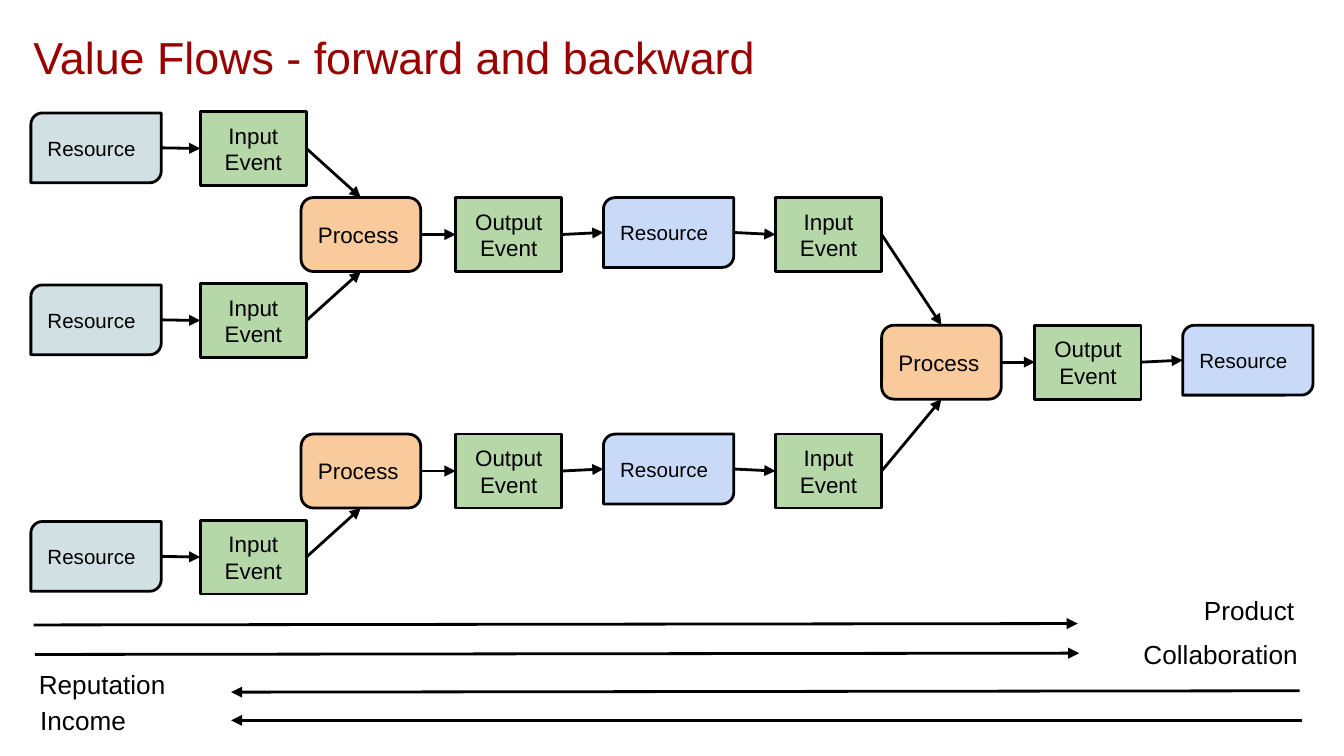
from lxml.etree import SubElement
from pptx import Presentation
from pptx.dml.color import RGBColor
from pptx.enum.shapes import MSO_CONNECTOR as CONN, MSO_SHAPE as SHAPE
from pptx.enum.text import MSO_ANCHOR as ANCHOR, PP_ALIGN as ALIGN
from pptx.oxml.ns import qn
from pptx.util import Inches, Pt

COLORS = {"title": "990000", "ink": "000000", "source": "D0E0E3",
          "event": "B6D7A8", "process": "F9CB9C", "product": "C9DAF8"}
# kind: shape, width, height, text size, alignment, fill
KINDS = {
    "Resource": (SHAPE.ROUND_2_DIAG_RECTANGLE, 0.97, 0.52, 11, ALIGN.LEFT, "product"),
    "Process": (SHAPE.ROUNDED_RECTANGLE, 0.89, 0.55, 12, ALIGN.LEFT, "process"),
    "Input\nEvent": (SHAPE.RECTANGLE, 0.79, 0.55, 12, ALIGN.CENTER, "event"),
    "Output\nEvent": (SHAPE.RECTANGLE, 0.79, 0.55, 12, ALIGN.CENTER, "event"),
}
COLS = [0.23, 1.49, 2.24, 3.39, 4.49, 5.77, 6.56, 7.7, 8.8]
STEP = 0.64
ROWS = [0.83, 0.83 + STEP, 0.83 + 2 * STEP, 2.42, 3.23, 3.23 + STEP]
TOP, LEFT, BOTTOM, RIGHT = range(4)

prs = Presentation()
prs.slide_width = Inches(10)
prs.slide_height = prs.slide_width * 9 // 16
s = prs.slides.add_slide(prs.slide_layouts[6])


def write(sp, text, size, color="ink", align=ALIGN.LEFT, pad=0.1):
    tf = sp.text_frame
    tf.word_wrap = True
    tf.margin_left = tf.margin_right = Inches(0.1)
    tf.margin_top = tf.margin_bottom = Inches(pad)
    tf.text = text
    for p in tf.paragraphs:
        p.alignment = align
        p.font.size, p.font.name = Pt(size), "Arial"
        p.font.color.rgb = RGBColor.from_string(COLORS[color])


def add_arrow(x1, y1, x2, y2):
    arrow = s.shapes.add_connector(CONN.STRAIGHT, x1, y1, x2, y2)
    arrow.line.color.rgb = RGBColor.from_string(COLORS["ink"])
    arrow.line.width = Pt(1.5)
    sp_pr = arrow._element.spPr
    SubElement(sp_pr.find(qn("a:ln")), qn("a:tailEnd"), type="triangle")
    SubElement(sp_pr, qn("a:effectLst"))
    return arrow


# Boxes, keyed by (column, row)
layout = [(0, row, "Resource") for row in (0, 2, 5)]
layout += [(1, row, "Input\nEvent") for row in (0, 2, 5)]
for row in (1, 4):
    layout += [(2, row, "Process"), (3, row, "Output\nEvent"),
               (4, row, "Resource"), (5, row, "Input\nEvent")]
layout += [(6, 3, "Process"), (7, 3, "Output\nEvent"), (8, 3, "Resource")]

boxes = {}
for col, row, kind in layout:
    shape, w, h, size, align, fill = KINDS[kind]
    drop = 0.01 if col == 0 else 0
    sp = s.shapes.add_shape(shape, Inches(COLS[col]), Inches(ROWS[row] + drop),
                            Inches(w), Inches(h))
    sp.shadow.inherit = False
    sp.fill.solid()
    sp.fill.fore_color.rgb = RGBColor.from_string(COLORS["source" if col == 0 else fill])
    sp.line.color.rgb = RGBColor.from_string(COLORS["ink"])
    sp.line.width = Pt(1.5)
    sp.text_frame.vertical_anchor = ANCHOR.MIDDLE
    write(sp, kind, size, align=align)
    boxes[col, row] = sp

# Flow arrows: along each row, then from input events into processes
flows = [((0, row), (1, row), LEFT) for row in (0, 2, 5)]
flows += [((c, row), (c + 1, row), LEFT) for row in (1, 4) for c in (2, 3, 4)]
flows += [((c, 3), (c + 1, 3), LEFT) for c in (6, 7)]
flows += [((1, 0), (2, 1), TOP), ((1, 2), (2, 1), BOTTOM), ((1, 5), (2, 4), BOTTOM),
          ((5, 1), (6, 3), TOP), ((5, 4), (6, 3), BOTTOM)]
resource_cols = (0, 4, 8)
for start, end, side in flows:
    a, b = boxes[start], boxes[end]
    arrow = add_arrow(a.left + a.width, a.top + a.height // 2,
                      b.left, b.top + b.height // 2)
    # Resource shapes number their connection sites differently, so stay unjoined
    if start[0] not in resource_cols:
        arrow.begin_connect(a, RIGHT)
    if end[0] not in resource_cols:
        arrow.end_connect(b, side)

# Long arrows: two forward, two backward
for ends in [(0.25, 4.65, 8.02, 4.64), (0.26, 4.87, 8.03, 4.86),
             (9.67, 5.14, 1.72, 5.15), (9.69, 5.36, 1.72, 5.36)]:
    add_arrow(*map(Inches, ends))

for text, x, y, w, h, size, color, pad in [
    ("Value Flows - forward and backward", 0.15, 0.12, 5.91, 0.47, 24, "title", 0.1),
    ("Product", 8.86, 4.39, 1.11, 0.13, 14, "ink", 0.03),
    ("Collaboration", 8.41, 4.67, 1.4, 0.18, 14, "ink", 0.08),
    ("Reputation", 0.19, 4.87, 1.89, 0.36, 14, "ink", 0.1),
    ("Income", 0.2, 5.14, 1.52, 0.3, 14, "ink", 0.1),
]:
    sp = s.shapes.add_textbox(*map(Inches, (x, y, w, h)))
    write(sp, text, size, color, pad=pad)

prs.save("out.pptx")
